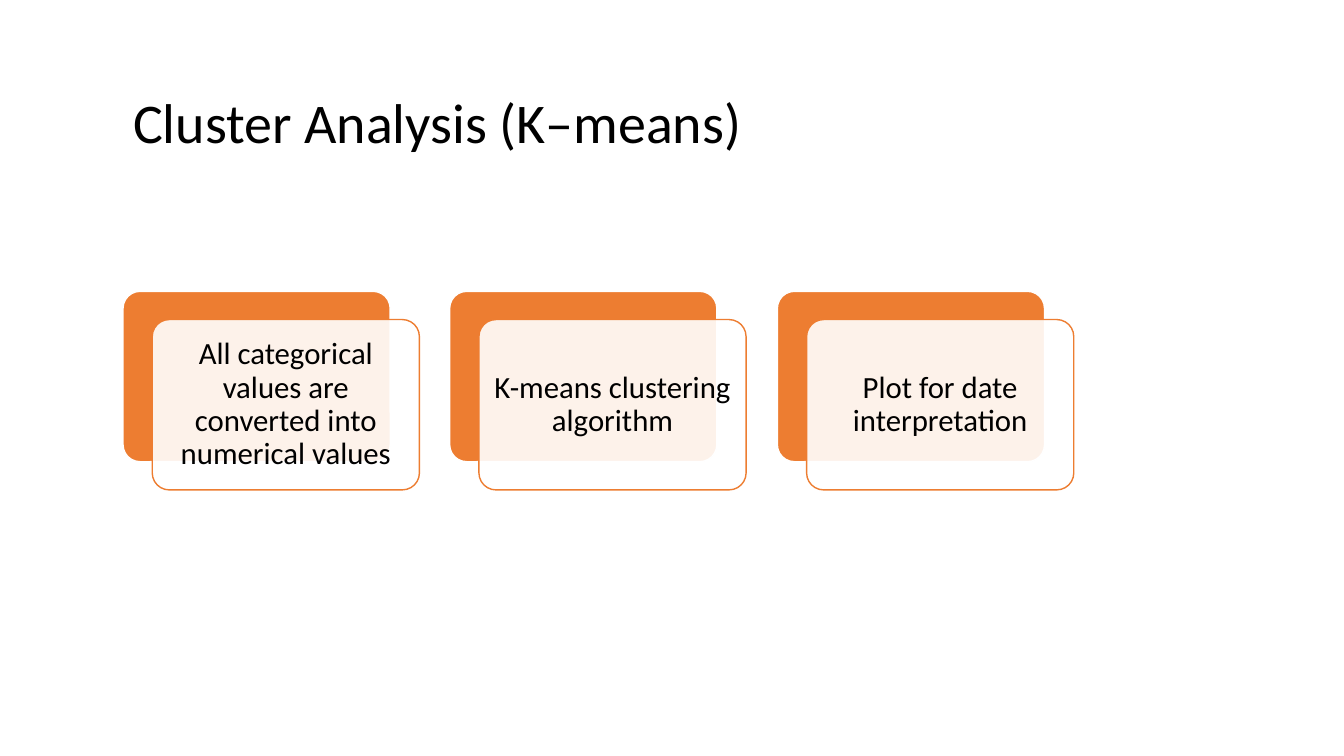
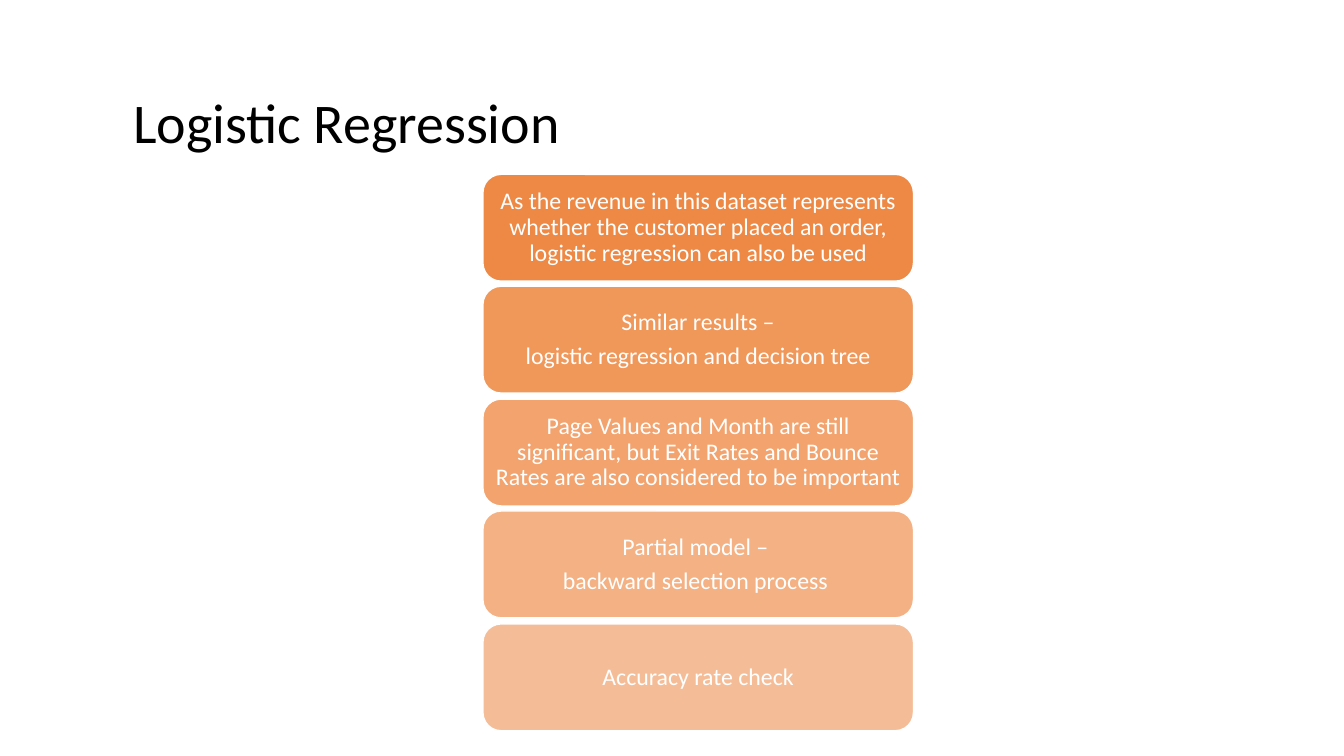
import pptx
import pptx.util
import pptx.dml.color
import pptx.enum.shapes
import pptx.enum.text
import pptx.oxml.ns
import lxml.etree

PX = 9144
FONT = "Calibri"
ORANGE = "ED7D31"
WHITE = "FFFFFF"
BLACK = "000000"
ALIGN = pptx.enum.text.PP_ALIGN


def write(frame, text, size, color, align, space_after=0):
    frame.text = text
    frame.word_wrap = True
    frame.auto_size = pptx.enum.text.MSO_AUTO_SIZE.NONE
    frame.vertical_anchor = pptx.enum.text.MSO_ANCHOR.MIDDLE
    for paragraph in frame.paragraphs:
        paragraph.alignment = align
        paragraph.line_spacing = 0.9
        paragraph.space_after = pptx.util.Pt(space_after)
        for run in paragraph.runs:
            run.font.name = FONT
            run.font.size = pptx.util.Pt(size)
            run.font.color.rgb = pptx.dml.color.RGBColor.from_string(color)


def add_card(slide, box, corner, fill, opacity, line):
    left, top, width, height = [length * PX for length in box]
    card = slide.shapes.add_shape(
        pptx.enum.shapes.MSO_SHAPE.ROUNDED_RECTANGLE, left, top, width, height)
    card.adjustments[0] = corner
    card.shadow.inherit = False
    card.fill.solid()
    card.fill.fore_color.rgb = pptx.dml.color.RGBColor.from_string(fill)
    card.line.color.rgb = pptx.dml.color.RGBColor.from_string(line)
    card.line.width = pptx.util.Pt(1)
    if opacity < 100:
        qn = pptx.oxml.ns.qn
        fill_color = card._element.spPr.find(qn("a:solidFill")).find(qn("a:srgbClr"))
        lxml.etree.SubElement(fill_color, qn("a:alpha"), val=str(opacity * 1000))
    return card


deck = pptx.Presentation()
deck.slide_width = 1333 * PX
deck.slide_height = 750 * PX

layout = deck.slide_layouts.get_by_name("Title Only")
heading = layout.placeholders[0]
heading.left, heading.top = 122 * PX, 60 * PX
heading.width, heading.height = 1112 * PX, 129 * PX

slides = []
for title in ["Cluster Analysis (K–means)", "Logistic Regression"]:
    slide = deck.slides.add_slide(layout)
    write(slide.shapes.title.text_frame, title, 40, BLACK, ALIGN.LEFT)
    slides.append(slide)
clustering, regression = slides

steps = [
    "All categorical values are converted into numerical values",
    "K-means clustering algorithm",
    "Plot for date interpretation",
]
for index, step in enumerate(steps):
    left = 122 + index * 649 // 2
    add_card(clustering, (left, 289, 265, 169), 0.1, ORANGE, 100, WHITE)
    front = add_card(clustering, (left + 29, 317, 265, 169), 0.1, WHITE, 90, ORANGE)
    frame = front.text_frame
    frame.margin_left = frame.margin_right = 9 * PX
    frame.margin_top = frame.margin_bottom = 9 * PX
    write(frame, step, 22, BLACK, ALIGN.CENTER, 8)

findings = [
    "As the revenue in this dataset represents whether the customer placed an order, "
    "logistic regression can also be used",
    "Similar results –\nlogistic regression and decision tree",
    "Page Values and Month are still significant, but Exit Rates and Bounce Rates "
    "are also considered to be important",
    "Partial model – \nbackward selection process ",
    "Accuracy rate check",
]
for index, finding in enumerate(findings):
    box = (479, 173 + index * 223 // 2, 427, 106)
    bar = add_card(regression, box, 0.17, ORANGE, 90 - 10 * index, WHITE)
    frame = bar.text_frame
    frame.margin_left = frame.margin_right = 7 * PX
    frame.margin_top = frame.margin_bottom = 4 * PX
    write(frame, finding, 17, WHITE, ALIGN.CENTER, 6)

deck.save("out.pptx")
